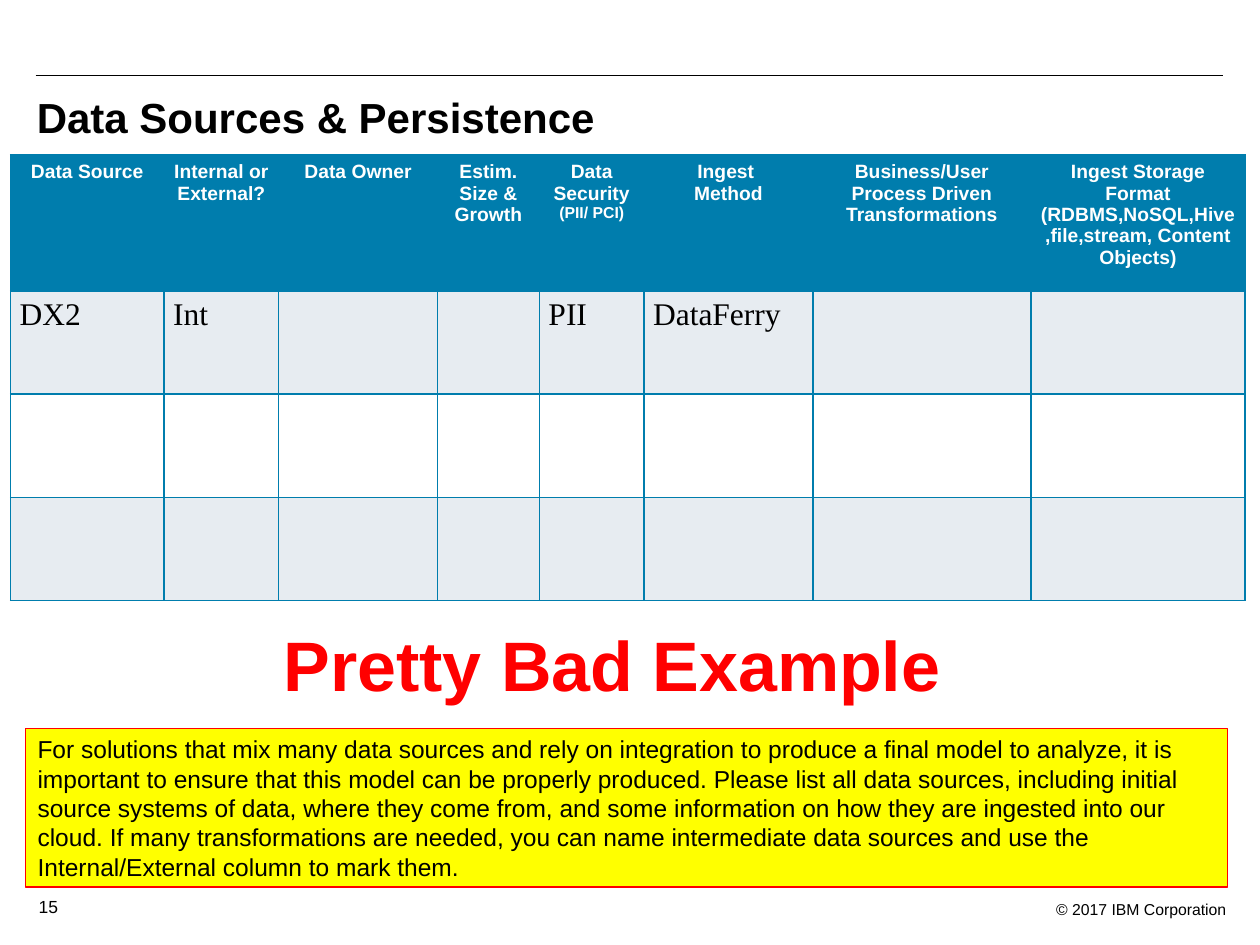
from lxml import etree
from pptx import Presentation
from pptx.dml.color import RGBColor
from pptx.enum import shapes, text
from pptx.oxml import ns
from pptx.util import Pt

BLUE, GREY, WHITE = "007DAD", "E7ECF1", "FFFFFF"
BLACK, RED, YELLOW = "000000", "FF0000", "FFFF00"
COLUMN_WIDTHS = [87.8, 65.5, 90.7, 58.3, 59.8, 96.5, 124.6, 122.4]
ROW_HEIGHTS = [77.8, 59, 59, 59]
HEADERS = [
    "Data Source",
    "Internal or External?",
    "Data Owner",
    "Estim. Size & Growth",
    "Data Security\n(PII/ PCI)",
    "Ingest \nMethod",
    "Business/User Process Driven Transformations",
    "Ingest Storage Format\n(RDBMS,NoSQL,Hive,file,stream, Content Objects)",
]
FIRST_SOURCE = ["DX2", "Int", "", "", "PII", "DataFerry", "", ""]
GUIDANCE = (
    "For solutions that mix many data sources and rely on integration to produce a final "
    "model to analyze, it is important to ensure that this model can be properly produced. "
    "Please list all data sources, including initial source systems of data, where they come "
    "from, and some information on how they are ingested into the our cloud. If many "
    "transformations are needed, you can name intermediate data sources and use the "
    "Internal/External column to mark them."
).replace("the our cloud", "our cloud")


def color(value):
    """Turn a hex string into a colour."""
    return RGBColor.from_string(value)


def write(frame, words, size, ink=BLACK, bold=False, font="Arial", align=text.PP_ALIGN.LEFT):
    """Fill a text frame and format every run."""
    frame.text = words
    for para in frame.paragraphs:
        para.alignment = align
        for span in para.runs:
            span.font.name = font
            span.font.size = Pt(size)
            span.font.bold = bold
            span.font.color.rgb = color(ink)


def add_title(page, words):
    """Place and format the title placeholder."""
    title = page.shapes.title
    title.left, title.top, title.width, title.height = Pt(21), Pt(46.8), Pt(673), Pt(39.6)
    frame = title.text_frame
    frame.auto_size = text.MSO_AUTO_SIZE.NONE
    frame.vertical_anchor = text.MSO_ANCHOR.MIDDLE
    frame.margin_left = 0
    write(frame, words, 24, bold=True)


def add_label(page, left, top, width, height, words, size, **style):
    """Add a wrapped text box."""
    box = page.shapes.add_textbox(Pt(left), Pt(top), Pt(width), Pt(height))
    box.text_frame.word_wrap = True
    write(box.text_frame, words, size, **style)


def add_rule(page, left, right, top):
    """Add a thin horizontal line."""
    rule = page.shapes.add_connector(
        shapes.MSO_CONNECTOR.STRAIGHT, Pt(left), Pt(top), Pt(right), Pt(top))
    rule.line.color.rgb = color(BLACK)
    rule.line.width = Pt(0.75)
    etree.SubElement(rule.element.spPr, ns.qn("a:effectLst"))


def add_note(page, left, top, width, height, words):
    """Add a yellow note with a red outline."""
    note = page.shapes.add_shape(
        shapes.MSO_SHAPE.RECTANGLE, Pt(left), Pt(top), Pt(width), Pt(height))
    note.shadow.inherit = False
    note.fill.solid()
    note.fill.fore_color.rgb = color(YELLOW)
    note.line.color.rgb = color(RED)
    note.line.width = Pt(0.75)
    note.text_frame.word_wrap = True
    write(note.text_frame, words, 14)


def style_cell(cell, fill):
    """Set the borders, margins and fill of a cell."""
    properties = cell._tc.get_or_add_tcPr()
    for side in ("a:lnL", "a:lnR", "a:lnT", "a:lnB"):
        border = etree.SubElement(properties, ns.qn(side), w=str(Pt(0.96)))
        solid = etree.SubElement(border, ns.qn("a:solidFill"))
        etree.SubElement(solid, ns.qn("a:srgbClr"), val=BLUE)
    cell.margin_left = cell.margin_right = Pt(5.2)
    cell.margin_top = cell.margin_bottom = Pt(3.6)
    cell.fill.solid()
    cell.fill.fore_color.rgb = color(fill)


def add_source_table(page, left, top):
    """Add the table of data sources."""
    table = page.shapes.add_table(
        len(ROW_HEIGHTS), len(COLUMN_WIDTHS), Pt(left), Pt(top),
        Pt(sum(COLUMN_WIDTHS)), Pt(sum(ROW_HEIGHTS))).table
    for column, width in zip(table.columns, COLUMN_WIDTHS):
        column.width = Pt(width)
    for row, height, fill in zip(table.rows, ROW_HEIGHTS, [BLUE, GREY, WHITE, GREY]):
        row.height = Pt(height)
        for cell in row.cells:
            style_cell(cell, fill)
    for index, (header, value) in enumerate(zip(HEADERS, FIRST_SOURCE)):
        write(table.cell(0, index).text_frame, header, 11, WHITE, True,
              align=text.PP_ALIGN.CENTER)
        write(table.cell(1, index).text_frame, value, 18, font="Times New Roman")
    security = table.cell(0, 4).text_frame
    security.paragraphs[1].runs[0].font.size = Pt(9)


def main():
    """Build the slide and save the deck."""
    deck = Presentation()
    deck.slide_width, deck.slide_height = Pt(720), Pt(540)
    page = deck.slides.add_slide(deck.slide_layouts[5])
    add_rule(page, 20.4, 699, 43.2)
    add_label(page, 467.3, 510.5, 240.5, 18, "© 2017 IBM Corporation", 9,
              align=text.PP_ALIGN.RIGHT)
    add_label(page, 15, 508.3, 43.2, 19.4, "15", 10)
    add_title(page, "Data Sources & Persistence")
    add_note(page, 14.4, 416.2, 686.9, 90.7, GUIDANCE)
    add_source_table(page, 6, 88.5)
    add_label(page, 155, 351.4, 408, 55.4, "Pretty Bad Example", 40, ink=RED, bold=True)
    deck.save("out.pptx")


if __name__ == "__main__":
    main()
